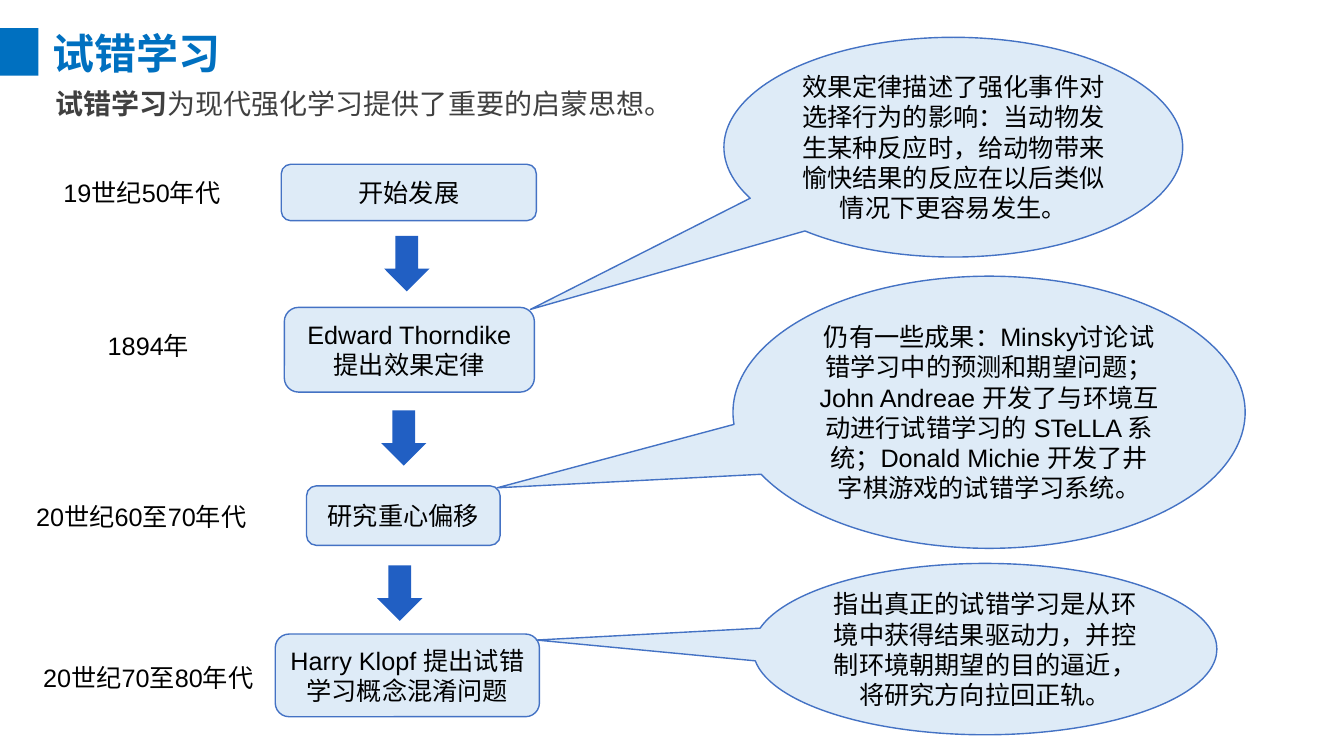
from pptx import Presentation
from pptx.dml.color import RGBColor as RGB
from pptx.enum.shapes import MSO_SHAPE as Shape
from pptx.enum.text import MSO_ANCHOR as Anchor, PP_ALIGN as Align
from pptx.oxml.ns import qn
from pptx.util import Inches, Pt
from lxml.etree import SubElement

COLORS = {"title": "0070C0", "lead": "404040", "text": "000000",
          "fill": "DEEBF7", "edge": "4472C4", "arrow": "215FC3"}
HEAD, BODY = "Noto Sans CJK SC", "Arial"


class Board:
    def __init__(self, slide):
        self.shapes = slide.shapes

    def style(self, run, size=18, color="text", font=BODY, bold=False):
        run.font.size, run.font.bold, run.font.name = Pt(size), bold, font
        run.font.color.rgb = RGB.from_string(COLORS[color])
        SubElement(run.font._element, qn("a:ea")).set("typeface", font)

    def shape(self, kind, at, fill, edge=None):
        item = self.shapes.add_shape(kind, *map(Inches, at))
        item.shadow.inherit = False
        item.fill.solid()
        item.fill.fore_color.rgb = RGB.from_string(COLORS[fill])
        if edge:
            item.line.color.rgb = RGB.from_string(COLORS[edge])
            item.line.width = Pt(1)
        else:
            item.line.fill.background()
        return item

    def box(self, at, text, kind=Shape.ROUNDED_RECTANGLE):
        item = self.shape(kind, at, "fill", "edge")
        frame = item.text_frame
        frame.text = text
        frame.word_wrap, frame.vertical_anchor = True, Anchor.MIDDLE
        para = frame.paragraphs[0]
        para.alignment = Align.CENTER
        self.style(para.runs[0])
        return item

    def callout(self, at, tip, text):
        item = self.box(at, text, Shape.OVAL_CALLOUT)
        left, top, width, height = at
        item.adjustments[0] = (tip[0] - left) / width - 0.5
        item.adjustments[1] = (tip[1] - top) / height - 0.5

    def text(self, at, parts, **look):
        frame = self.shapes.add_textbox(*map(Inches, at)).text_frame
        frame.word_wrap = True
        para = frame.paragraphs[0]
        for words, bold in parts:
            run = para.add_run()
            run.text = words
            self.style(run, bold=bold, **look)
        return frame


deck = Presentation()
deck.slide_width, deck.slide_height = Inches(13.33), Inches(7.5)
board = Board(deck.slides.add_slide(deck.slide_layouts[6]))

# Title and lead sentence
board.shape(Shape.RECTANGLE, (-0.01, 0.28, 0.39, 0.47), "title")
title = board.text((0.52, 0.33, 6, 0.38), [("试错学习", True)],
                   size=30, color="title", font=HEAD)
title.margin_left = title.margin_right = 0
title.margin_top = title.margin_bottom = 0
title.vertical_anchor = Anchor.MIDDLE
lead = board.text((0.45, 0.85, 6.7, 0.5),
                  [("试错学习", True), ("为现代强化学习提供了重要的启蒙思想。", False)],
                  size=20, color="lead", font=HEAD)
lead.paragraphs[0].line_spacing = 0.9

# Timeline: date place and width, date, step place, step
STAGES = [
    ((0.53, 1.71, 1.82), "19世纪50年代", (2.79, 1.63, 2.53, 0.56), "开始发展"),
    ((0.97, 3.23, 1.12), "1894年", (2.82, 3.05, 2.48, 0.84),
     "Edward Thorndike 提出效果定律"),
    ((0.26, 4.92, 2.41), "20世纪60至70年代", (3.04, 4.82, 1.92, 0.59),
     "研究重心偏移"),
    ((0.33, 6.52, 2.33), "20世纪70至80年代", (2.73, 6.29, 2.62, 0.82),
     "Harry Klopf 提出试错学习概念混淆问题"),
]
for place, date, at, step in STAGES:
    board.text((*place, 0.4), [(date, False)])
    board.box(at, step)

# Arrows between the steps
for left, top in [(3.81, 2.34), (3.78, 4.07), (3.74, 5.61)]:
    board.shape(Shape.DOWN_ARROW, (left, top, 0.45, 0.55), "arrow")

# Callouts: place, tip, text
NOTES = [
    ((7.18, 0.37, 4.55, 2.18), (5.26, 3.07),
     "效果定律描述了强化事件对选择行为的影响：当动物发生某种反应时，"
     "给动物带来愉快结果的反应在以后类似情况下更容易发生。"),
    ((7.27, 2.74, 5.08, 2.7), (4.93, 4.84),
     "仍有一些成果：Minsky讨论试错学习中的预测和期望问题；"
     "John Andreae 开发了与环境互动进行试错学习的 STeLLA 系统；"
     "Donald Michie 开发了井字棋游戏的试错学习系统。"),
    ((7.47, 5.59, 4.6, 1.7), (5.32, 6.35),
     "指出真正的试错学习是从环境中获得结果驱动力，并控制环境朝期望的目的逼近，"
     "将研究方向拉回正轨。"),
]
for note in NOTES:
    board.callout(*note)

deck.save("out.pptx")
